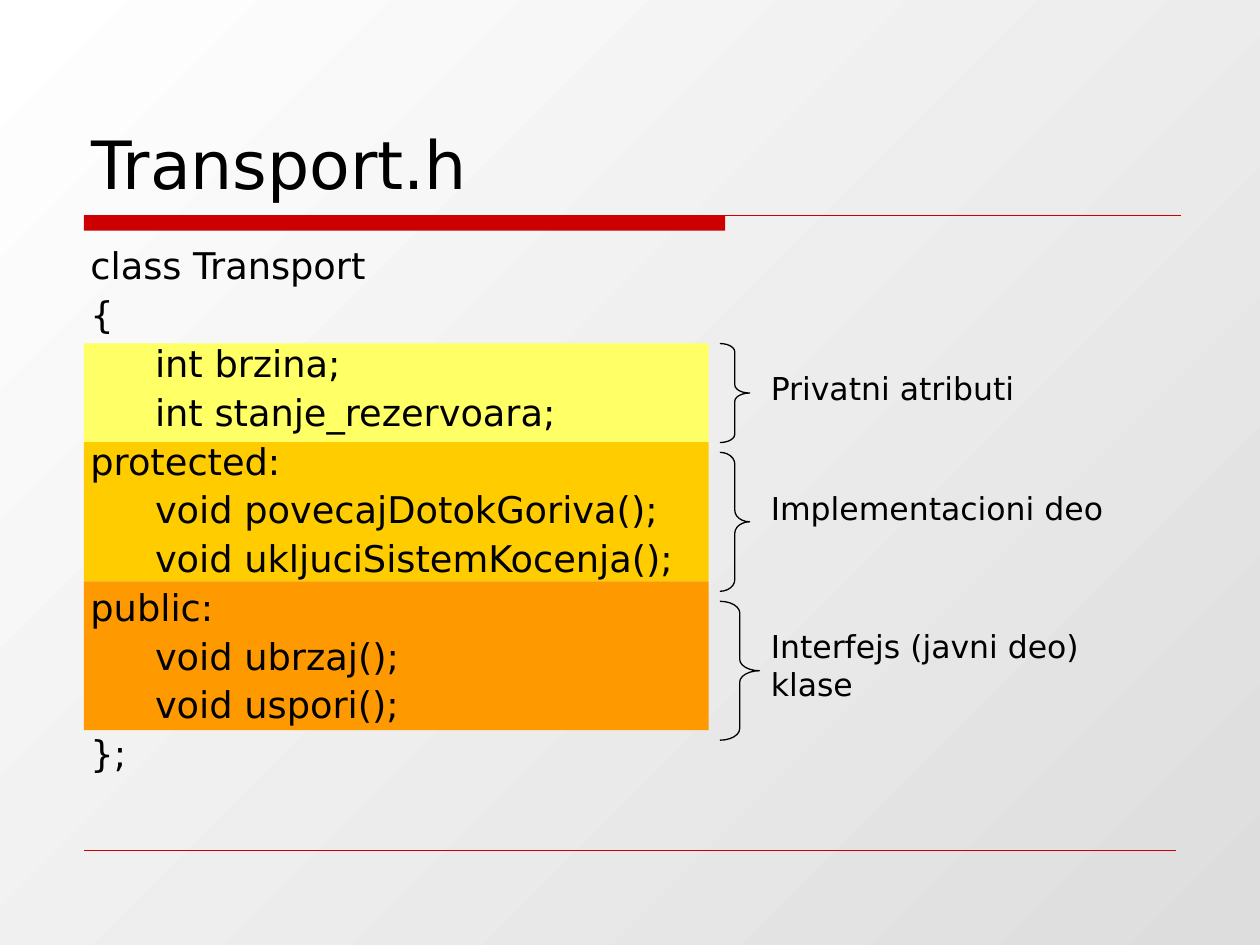
import pptx
import pptx.util
import pptx.dml.color
import pptx.enum.shapes
import pptx.enum.text
from lxml import etree

Pt = pptx.util.Pt
Shape = pptx.enum.shapes.MSO_SHAPE
Anchor = pptx.enum.text.MSO_ANCHOR
Size = pptx.enum.text.MSO_AUTO_SIZE
FONT = "DejaVu Sans"
RED = "CC0000"
BLACK = "000000"
SPACE = "http://schemas.openxmlformats.org/drawingml/2006/main"

CODE = [
    "class Transport",
    "{",
    "\tint brzina;",
    "\tint stanje_rezervoara;",
    "protected:",
    "\tvoid povecajDotokGoriva();",
    "\tvoid ukljuciSistemKocenja();",
    "public:",
    "\tvoid ubrzaj();",
    "\tvoid uspori();",
    "};",
]
BANDS = [("FFFF66", 56.4), ("FFCC00", 79.5), ("FF9900", 85)]
NOTES = [
    ("Privatni atributi", (411.4, 196.3, 17, 56.6), (433.4, 207.4, 198.7, 29)),
    ("Implementacioni deo", (411.4, 258.5, 17, 79.4), (433.4, 275.6, 209.5, 29)),
    ("Interfejs (javni deo) klase", (411.4, 343.6, 22.6, 79.4), (433.4, 355, 215.3, 50.4)),
]


def tint(code):
    return pptx.dml.color.RGBColor.from_string(code)


def assign(item, values):
    for name, value in values.items():
        setattr(item, name, value)


def add_shape(slide, kind, box, fill=None, line=None):
    shape = slide.shapes.add_shape(kind, *map(Pt, box))
    shape.shadow.inherit = False
    if fill:
        shape.fill.solid()
        shape.fill.fore_color.rgb = tint(fill)
    else:
        shape.fill.background()
    if line:
        shape.line.color.rgb = tint(line)
        shape.line.width = Pt(0.75)
    else:
        shape.line.fill.background()
    return shape


def add_rule(slide, left, right, top, width):
    rule = slide.shapes.add_connector(
        pptx.enum.shapes.MSO_CONNECTOR.STRAIGHT, Pt(left), Pt(top), Pt(right), Pt(top))
    rule.line.color.rgb = tint(RED)
    rule.line.width = Pt(width)
    etree.SubElement(rule._element.spPr, f"{{{SPACE}}}effectLst")


def add_text(slide, box, lines, size, frame, para=None, hang=0):
    text = slide.shapes.add_textbox(*map(Pt, box)).text_frame
    assign(text, {"word_wrap": True, **frame})
    text.text = "\n".join(lines)
    for part in text.paragraphs:
        assign(part, para or {})
        assign(part.font, {"size": Pt(size), "name": FONT})
        part.font.color.rgb = tint(BLACK)
        if hang:
            props = part._p.get_or_add_pPr()
            props.set("marL", str(Pt(hang)))
            props.set("indent", str(-Pt(hang)))


def paint_back(slide):
    fill = slide.background.fill
    fill.gradient()
    fill.gradient_angle = 135
    for stop, code in zip(fill.gradient_stops, ("DDDDDD", "FFFFFF")):
        stop.color.rgb = tint(code)


def add_head(slide, box):
    left, top, width, height = box
    base = top + height + 3.6
    add_shape(slide, Shape.RECTANGLE, (left + 2.6, base, 366.4, 8.8), RED)
    add_rule(slide, left + 2.6, left + width - 0.7, base, 0.75)
    add_text(slide, box, ["Transport.h"], 38, {"vertical_anchor": Anchor.BOTTOM})


def add_code(slide, box):
    left, top, width, height = box
    edge = top + 58
    for fill, tall in BANDS:
        add_shape(slide, Shape.RECTANGLE, (left + 3.4, edge, 357, tall), fill)
        edge += tall
    add_text(slide, box, CODE, 21, {},
             {"line_spacing": 0.9, "space_before": Pt(5.2)}, 36.9)


def add_note(slide, label, brace, box):
    curve = add_shape(slide, Shape.RIGHT_BRACE, brace, line=BLACK)
    curve.adjustments[0] = brace[3] / 12 / brace[2]
    add_text(slide, box, [label], 18, {"auto_size": Size.SHAPE_TO_FIT_TEXT},
             {"space_before": Pt(11.2)})


def main():
    deck = pptx.Presentation()
    assign(deck, {"slide_width": Pt(720), "slide_height": Pt(540)})
    slide = deck.slides.add_slide(deck.slide_layouts[6])
    paint_back(slide)
    add_head(slide, (45.4, 23.8, 630, 95.7))
    add_rule(slide, 48, 672, 486, 0.25)
    add_code(slide, (44.6, 138.3, 630, 336))
    for note in NOTES:
        add_note(slide, *note)
    deck.save("out.pptx")


if __name__ == "__main__":
    main()
